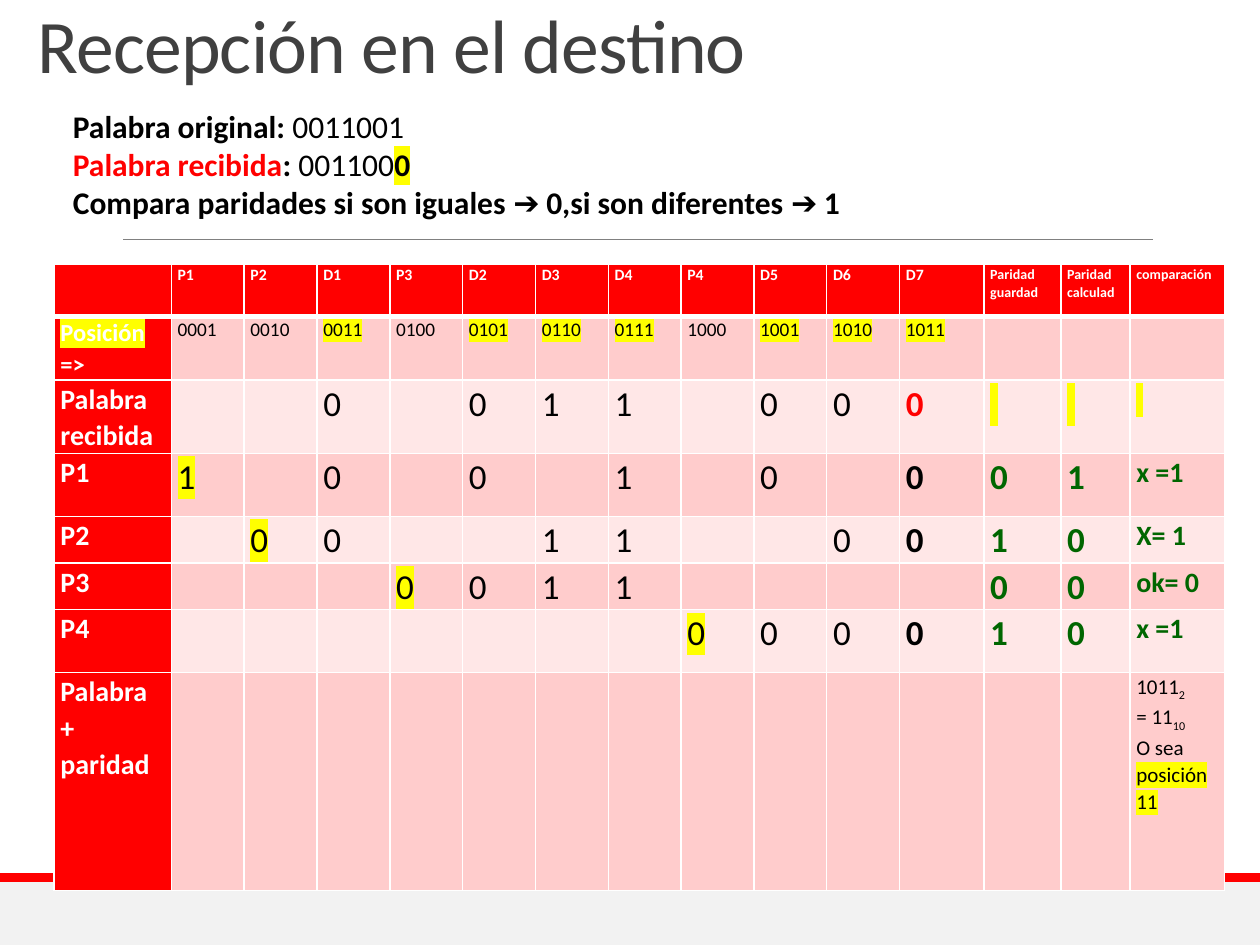
from lxml.etree import SubElement
from pptx import Presentation
from pptx.dml.color import RGBColor
from pptx.enum.shapes import MSO_CONNECTOR, MSO_SHAPE
from pptx.enum.text import MSO_ANCHOR, MSO_AUTO_SIZE, PP_ALIGN
from pptx.oxml.ns import qn
from pptx.util import Inches, Pt

FONT = "Calibri"
RED, GREEN, YELLOW = "FF0000", "006600", "FFFF00"
WHITE, BLACK = "FFFFFF", "000000"
BANDS = ("FFE7E7", "FFCCCC")
COLUMNS = [0.93] + [5.78 / 10] * 10 + [0.67, 0.61, 0.55, 0.75]
ROWS = [0.41, 0.49, 0.58, 0.5, 0.37, 0.37, 0.5, 1.73]
RECEIVED, LAST_DATA, COMPARISON = 2, 11, 14

GRID = """|P1|P2|D1|P3|D2|D3|D4|P4|D5|D6|D7|Paridad guardad|Paridad calculad|comparación
*Posición* =>|0001|0010|*0011*|0100|*0101*|*0110*|*0111*|1000|*1001*|*1010*|*1011*|||
Palabra recibida|||0||0|1|1||0|0|0|* *|* *|* *
P1|*1*||0||0||1||0||0|0|1|x =1
P2||*0*|0|||1|1|||0|0|1|0|X= 1
P3||||*0*|0|1|1|||||0|0|ok= 0
P4||||||||*0*|0|0|0|1|0|x =1
Palabra + paridad||||||||||||||"""

RESULT = [
    [("1011", {}), ("2", {"subscript": True})],
    [("= 11", {}), ("10", {"subscript": True})],
    [("O sea", {})],
    [("posición 11", {"mark": True})],
]
INTRO = [
    [("Palabra original: ", {"bold": True}), ("0011001", {})],
    [("Palabra recibida", {"bold": True, "color": RED}), (": ", {"bold": True}),
     ("001100", {}), ("0", {"bold": True, "mark": True})],
    [("Compara paridades si son iguales ➔ 0,si son diferentes ➔ 1", {"bold": True})],
]


def rgb(value):
    """Turn a hex string into a colour."""
    return RGBColor.from_string(value)


def style(para, size, color=BLACK, bold=False, spacing=None):
    """Set the font and line spacing of a paragraph."""
    para.font.name, para.font.size, para.font.bold = FONT, Pt(size), bold
    para.font.color.rgb = rgb(color)
    if spacing:
        para.line_spacing = spacing


def add_span(para, text, bold=None, color=None, mark=False, subscript=False):
    """Add a run, with a highlight or a subscript on request."""
    span = para.add_run()
    span.text = text
    if bold:
        span.font.bold = True
    if color:
        span.font.color.rgb = rgb(color)
    properties = span._r.get_or_add_rPr()
    if mark:
        highlight = SubElement(properties, qn("a:highlight"))
        SubElement(highlight, qn("a:srgbClr")).set("val", YELLOW)
    if subscript:
        properties.set("baseline", "-25000")


def fill_text(frame, lines, **look):
    """Write lines of spans, all in one paragraph style."""
    for index, spans in enumerate(lines):
        para = frame.add_paragraph() if index else frame.paragraphs[0]
        style(para, **look)
        for text, options in spans:
            add_span(para, text, **options)


def marked(text):
    """Split text at asterisks; every second piece is highlighted."""
    return [(piece, {"mark": index % 2 == 1})
            for index, piece in enumerate(text.split("*")) if piece]


def cell_look(row, column):
    """Return the text style that belongs to a place in the table."""
    if row == 0:
        return {"size": 8 if column > LAST_DATA else 9, "color": WHITE, "bold": True}
    if column == 0:
        return {"size": 14 if row == 1 else 16, "color": WHITE, "bold": True}
    if row == 1:
        return {"size": 11}
    if row == len(ROWS) - 1:
        return {"size": 12}
    if column > LAST_DATA:
        return {"size": 16 if column == COMPARISON else 20, "color": GREEN, "bold": True}
    color = RED if (row, column) == (RECEIVED, LAST_DATA) else BLACK
    return {"size": 20, "color": color, "bold": column == LAST_DATA}


def add_borders(cell, row):
    """Draw white cell borders, thicker under the header."""
    heavy = {0: "lnB", 1: "lnT"}.get(row)
    for side in ("lnL", "lnR", "lnT", "lnB"):
        line = SubElement(cell._tc.get_or_add_tcPr(), qn(f"a:{side}"))
        line.set("w", str(Pt(3 if side == heavy else 1)))
        SubElement(SubElement(line, qn("a:solidFill")), qn("a:srgbClr")).set("val", WHITE)


def add_parity_table(page, left, top):
    """Place the table of parity bits with its upper left corner at a point."""
    table = page.shapes.add_table(
        len(ROWS), len(COLUMNS), Inches(left), Inches(top),
        Inches(sum(COLUMNS)), Inches(sum(ROWS))).table
    table.horz_banding = False
    for column, width in zip(table.columns, COLUMNS):
        column.width = Inches(width)
    for row, (height, line) in enumerate(zip(ROWS, GRID.split("\n"))):
        table.rows[row].height = Inches(height)
        for column, text in enumerate(line.split("|")):
            cell = table.cell(row, column)
            cell.margin_left = cell.margin_right = Inches(0.05)
            cell.margin_top = cell.margin_bottom = 0
            add_borders(cell, row)
            cell.fill.solid()
            cell.fill.fore_color.rgb = rgb(RED if 0 in (row, column) else BANDS[row % 2])
            is_result = (row, column) == (len(ROWS) - 1, COMPARISON)
            lines = RESULT if is_result else [marked(text)]
            fill_text(cell.text_frame, lines, spacing=1.07, **cell_look(row, column))


def add_intro(page, box):
    """Place the lines that compare the sent and received words."""
    frame = page.shapes.add_textbox(*map(Inches, box)).text_frame
    frame.word_wrap = True
    fill_text(frame, INTRO, size=18)


def add_band(page, box, color):
    """Place a plain rectangle."""
    band = page.shapes.add_shape(MSO_SHAPE.RECTANGLE, *map(Inches, box))
    band.shadow.inherit = False
    band.fill.solid()
    band.fill.fore_color.rgb = rgb(color)
    band.line.fill.background()


def add_rule(page, left, right, height):
    """Place the thin grey line above the table."""
    rule = page.shapes.add_connector(
        MSO_CONNECTOR.STRAIGHT, *map(Inches, (left, height, right, height)))
    rule.line.color.rgb = rgb("808080")
    rule.line.width = Pt(0.5)
    SubElement(rule._element.spPr, qn("a:effectLst"))


def add_footer(page, left, top, width, height):
    """Place the footer band with its red edge."""
    add_band(page, (left, top, width, height), "F2F2F2")
    add_band(page, (left, top - 0.07, width, 0.07), RED)


def place_title(title, box, text):
    """Move and format the title placeholder."""
    title.left, title.top, title.width, title.height = map(Inches, box)
    frame = title.text_frame
    frame.auto_size = MSO_AUTO_SIZE.NONE
    frame.vertical_anchor = MSO_ANCHOR.BOTTOM
    fill_text(frame, [[(text, {})]], size=43.2, color="404040", spacing=0.85)
    para = frame.paragraphs[0]
    para.alignment = PP_ALIGN.LEFT
    para.runs[0]._r.get_or_add_rPr().set("spc", "-50")


def main():
    """Build the slide and save it."""
    deck = Presentation()
    deck.slide_width, deck.slide_height = Inches(10), Inches(7.5)
    page = deck.slides.add_slide(deck.slide_layouts[5])
    add_footer(page, 0, 7, 10, 0.5)
    add_rule(page, 0.98, 9.15, 1.9)
    place_title(page.shapes.title, (0.2, 0.13, 8.95, 0.63), "Recepción en el destino")
    add_parity_table(page, 0.43, 2.1)
    add_intro(page, (0.48, 0.8, 6.65, 1.01))
    deck.save("out.pptx")


if __name__ == "__main__":
    main()
